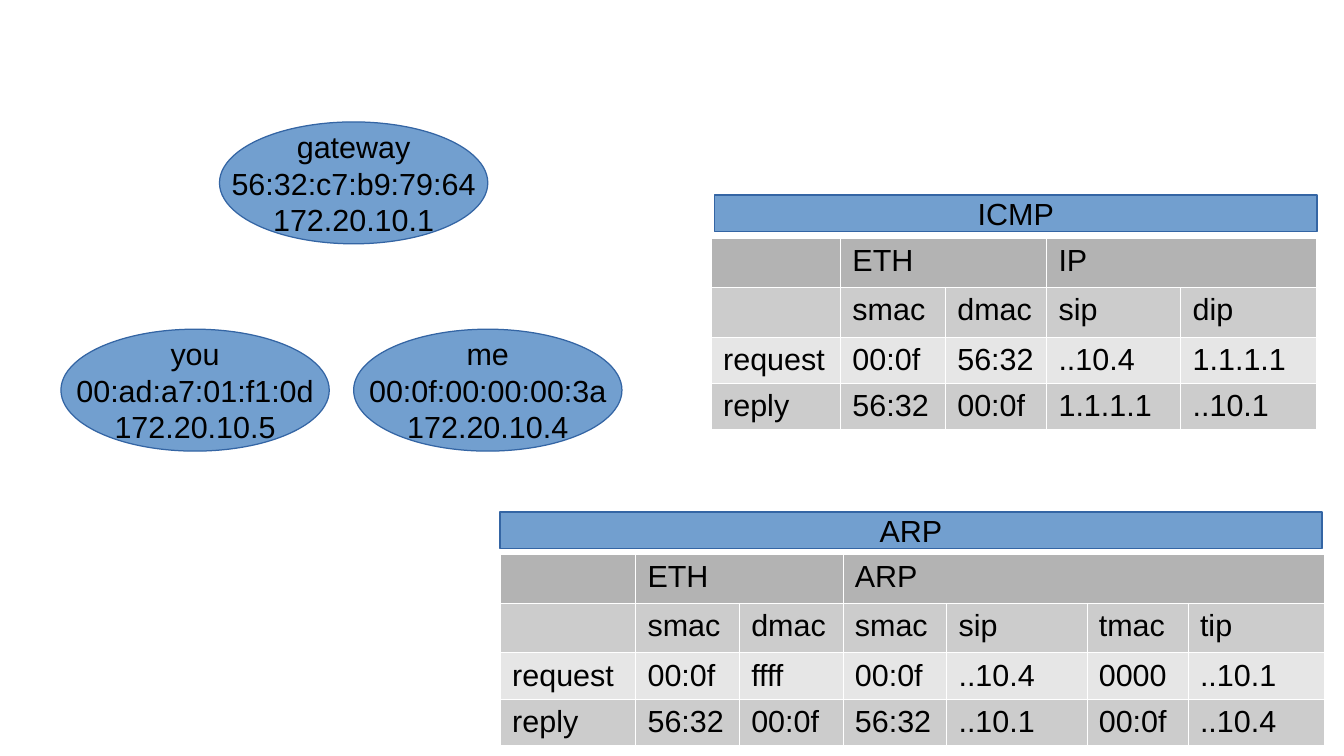
from lxml import etree
from pptx import Presentation
from pptx.dml.color import RGBColor
from pptx.enum.shapes import MSO_SHAPE
from pptx.enum.text import MSO_ANCHOR, PP_ALIGN
from pptx.oxml.ns import qn
from pptx.util import Inches, Pt

OVAL, RECT = MSO_SHAPE.OVAL, MSO_SHAPE.RECTANGLE
LEFT, CENTER = PP_ALIGN.LEFT, PP_ALIGN.CENTER
MIDDLE = MSO_ANCHOR.MIDDLE

COLORS = {
    "text": "000000", "fill": "729FCF", "line": "3465A4", "edge": "FFFFFF",
    "head": "B3B3B3", "dark": "CCCCCC", "light": "E6E6E6",
}
BANDS = ["head", "dark", "light", "dark"]
WIDE, HIGH = 110.2, 62
ROW = 3.8

HOSTS = [
    (18, 10, ["gateway", "56:32:c7:b9:79:64", "172.20.10.1"]),
    (5, 27, ["you", "00:ad:a7:01:f1:0d", "172.20.10.5"]),
    (29, 27, ["me", "00:0f:00:00:00:3a", "172.20.10.4"]),
]
ICMP = [
    ["", "ETH", "", "IP", ""],
    ["", "smac", "dmac", "sip", "dip"],
    ["request", "00:0f", "56:32", "..10.4", "1.1.1.1"],
    ["reply", "56:32", "00:0f", "1.1.1.1", "..10.1"],
]
ARP = [
    ["", "ETH", "", "ARP", "", "", ""],
    ["", "smac", "dmac", "smac", "sip", "tmac", "tip"],
    ["request", "00:0f", "ffff", "00:0f", "..10.4", "0000", "..10.1"],
    ["reply", "56:32", "00:0f", "56:32", "..10.1", "00:0f", "..10.4"],
]


def grid(*units):
    return [Inches(unit / 10) for unit in units]


def color(name):
    return RGBColor.from_string(COLORS[name])


def write(frame, lines, size=18, font="Arial", align=LEFT, tint="text"):
    for i, line in enumerate(lines):
        para = frame.add_paragraph() if i else frame.paragraphs[0]
        para.alignment = align
        run = para.add_run()
        run.text = line
        run.font.size = Pt(size)
        run.font.name = font
        run.font.color.rgb = color(tint)


def add_box(slide, kind, box, lines):
    shape = slide.shapes.add_shape(kind, *grid(*box))
    shape.shadow.inherit = False
    shape.fill.solid()
    shape.fill.fore_color.rgb = color("fill")
    shape.line.color.rgb = color("line")
    shape.line.width = Pt(0.75)
    shape.text_frame.word_wrap = False
    shape.text_frame.vertical_anchor = MIDDLE
    write(shape.text_frame, lines, align=CENTER)


def paint(cell, band):
    props = cell._tc.get_or_add_tcPr()
    for side in ("a:lnL", "a:lnR", "a:lnT", "a:lnB"):
        line = etree.SubElement(props, qn(side), w=str(Pt(0.06)))
        fill = etree.SubElement(line, qn("a:solidFill"))
        etree.SubElement(fill, qn("a:srgbClr"), val=COLORS["edge"])
    cell.fill.solid()
    cell.fill.fore_color.rgb = color(band)


def add_grid(slide, left, top, widths, rows, spans):
    box = grid(left, top, sum(widths), ROW * len(rows))
    table = slide.shapes.add_table(len(rows), len(widths), *box).table
    for column, width in zip(table.columns, grid(*widths)):
        column.width = width
    for r, (row, band) in enumerate(zip(rows, BANDS)):
        table.rows[r].height = grid(ROW)[0]
        for c, text in enumerate(row):
            cell = table.cell(r, c)
            paint(cell, band)
            if text:
                write(cell.text_frame, [text])
    for first, last in spans:
        table.cell(0, first).merge(table.cell(0, last))


def main():
    deck = Presentation()
    deck.slide_width, deck.slide_height = grid(WIDE, HIGH)
    slide = deck.slides.add_slide(deck.slide_layouts[6])
    add_grid(slide, 58.3, 19.5, [10.6, 8.6, 8.3, 11, 11.1], ICMP,
             [(1, 2), (3, 4)])
    add_grid(slide, 41, 45.4, [11.1, 8.5, 8.5, 8.5, 11.5, 8.3, 11.2], ARP,
             [(1, 2), (3, 6)])
    add_box(slide, RECT, (58.6, 16, 49.4, 3), ["ICMP"])
    add_box(slide, RECT, (41, 42, 67.4, 3), ["ARP"])
    for left, top, lines in HOSTS:
        add_box(slide, OVAL, (left, top, 22, 10), lines)
    deck.save("out.pptx")


if __name__ == "__main__":
    main()
